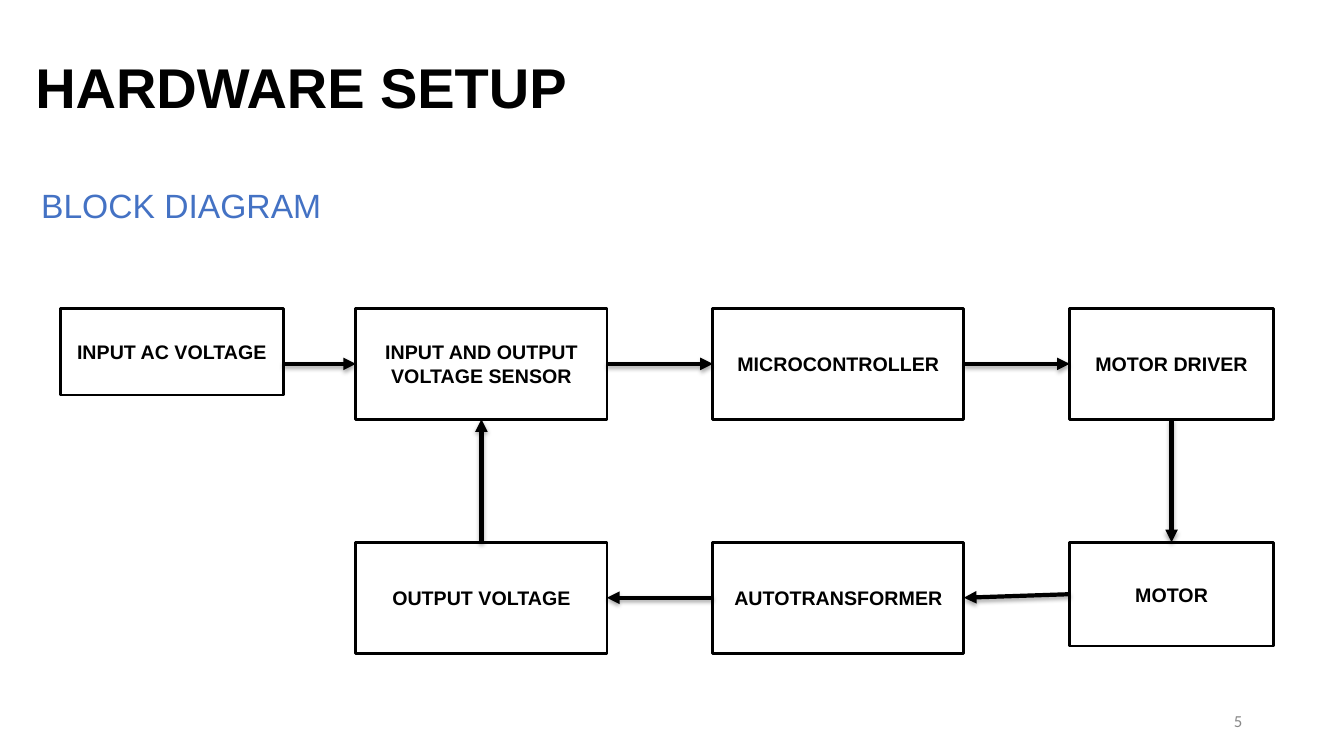
from lxml import etree
from pptx import Presentation
from pptx.dml.color import RGBColor
from pptx.enum.shapes import MSO_CONNECTOR as CONN, MSO_SHAPE as SHAPE
from pptx.enum.text import MSO_ANCHOR as ANCHOR, PP_ALIGN as ALIGN
from pptx.oxml.ns import qn
from pptx.util import Inches, Pt

TOP, LEFT, BOTTOM, RIGHT = range(4)
COL_X = [0.6, 3.53, 7.07, 10.61]
COL_W = [2.21, 2.49, 2.49, 2.02]
ROW_Y = [3.06, 5.38]

BLOCKS = {
    "INPUT AC VOLTAGE": (0, 0, 0.86),
    "INPUT AND OUTPUT VOLTAGE SENSOR": (1, 0, 1.1),
    "MICROCONTROLLER": (2, 0, 1.1),
    "MOTOR DRIVER": (3, 0, 1.1),
    "MOTOR": (3, 1, 1.03),
    "AUTOTRANSFORMER": (2, 1, 1.1),
    "OUTPUT VOLTAGE": (1, 1, 1.1),
}
LINKS = [
    ("INPUT AND OUTPUT VOLTAGE SENSOR", RIGHT, "MICROCONTROLLER", LEFT),
    ("MICROCONTROLLER", RIGHT, "MOTOR DRIVER", LEFT),
    ("MOTOR DRIVER", BOTTOM, "MOTOR", TOP),
    ("MOTOR", LEFT, "AUTOTRANSFORMER", RIGHT),
    ("AUTOTRANSFORMER", LEFT, "OUTPUT VOLTAGE", RIGHT),
    ("OUTPUT VOLTAGE", TOP, "INPUT AND OUTPUT VOLTAGE SENSOR", BOTTOM),
]


def rgb(color):
    return RGBColor.from_string(color)


def write(sp, text, size=14, font="Arial", color="000000", bold=False,
          align=ALIGN.LEFT, anchor=ANCHOR.TOP):
    tf = sp.text_frame
    tf.word_wrap = True
    tf.vertical_anchor = anchor
    p = tf.paragraphs[0]
    p.alignment = align
    r = p.add_run()
    r.text = text
    r.font.size = Pt(size)
    r.font.name = font
    r.font.bold = bold
    r.font.color.rgb = rgb(color)


def add_title(slide, text):
    sp = slide.shapes.title
    sp.left, sp.top = Inches(0.13), Inches(0.47)
    sp.width, sp.height = Inches(9.19), Inches(0.77)
    write(sp, text, size=40, bold=True)
    sp.text_frame.margin_left = Inches(0.22)


def add_label(slide, text, x, y, w, h, **fmt):
    sp = slide.shapes.add_textbox(Inches(x), Inches(y), Inches(w), Inches(h))
    write(sp, text, **fmt)


def add_block(slide, text, col, row, h):
    sp = slide.shapes.add_shape(SHAPE.RECTANGLE, Inches(COL_X[col]), Inches(ROW_Y[row]),
                                Inches(COL_W[col]), Inches(h))
    sp.shadow.inherit = False
    sp.fill.solid()
    sp.fill.fore_color.rgb = rgb("FFFFFF")
    sp.line.color.rgb = rgb("000000")
    sp.line.width = Pt(2)
    write(sp, text, bold=True, align=ALIGN.CENTER, anchor=ANCHOR.MIDDLE)
    return sp


def add_arrow(slide, x1=0, y1=0, x2=0, y2=0):
    cn = slide.shapes.add_connector(CONN.STRAIGHT, Inches(x1), Inches(y1),
                                    Inches(x2), Inches(y2))
    cn.line.color.rgb = rgb("000000")
    cn.line.width = Pt(3)
    etree.SubElement(cn.line._get_or_add_ln(), qn("a:tailEnd"), type="triangle")
    effects = etree.SubElement(cn._element.spPr, qn("a:effectLst"))
    shadow = etree.SubElement(effects, qn("a:outerShdw"), blurRad=str(Pt(3.1)),
                              dist=str(Pt(1.8)), dir="5400000", rotWithShape="0")
    black = etree.SubElement(shadow, qn("a:srgbClr"), val="000000")
    etree.SubElement(black, qn("a:alpha"), val="35000")
    return cn


def main():
    prs = Presentation()
    prs.slide_width, prs.slide_height = Inches(13.33), Inches(7.5)
    slide = prs.slides.add_slide(prs.slide_layouts[5])

    add_title(slide, "HARDWARE SETUP")
    add_label(slide, "BLOCK DIAGRAM", 0.31, 1.79, 4.48, 0.5, size=24, color="4472C4")
    add_label(slide, "5", 9.42, 6.95, 3, 0.4, size=12, font="Calibri", color="888888",
              align=ALIGN.RIGHT, anchor=ANCHOR.MIDDLE)

    blocks = {text: add_block(slide, text, *place) for text, place in BLOCKS.items()}

    supply = add_arrow(slide, COL_X[0] + COL_W[0], 3.61, COL_X[1], 3.61)
    supply.end_connect(blocks["INPUT AND OUTPUT VOLTAGE SENSOR"], LEFT)
    for start, start_side, end, end_side in LINKS:
        cn = add_arrow(slide)
        cn.begin_connect(blocks[start], start_side)
        cn.end_connect(blocks[end], end_side)

    prs.save("out.pptx")


if __name__ == "__main__":
    main()
